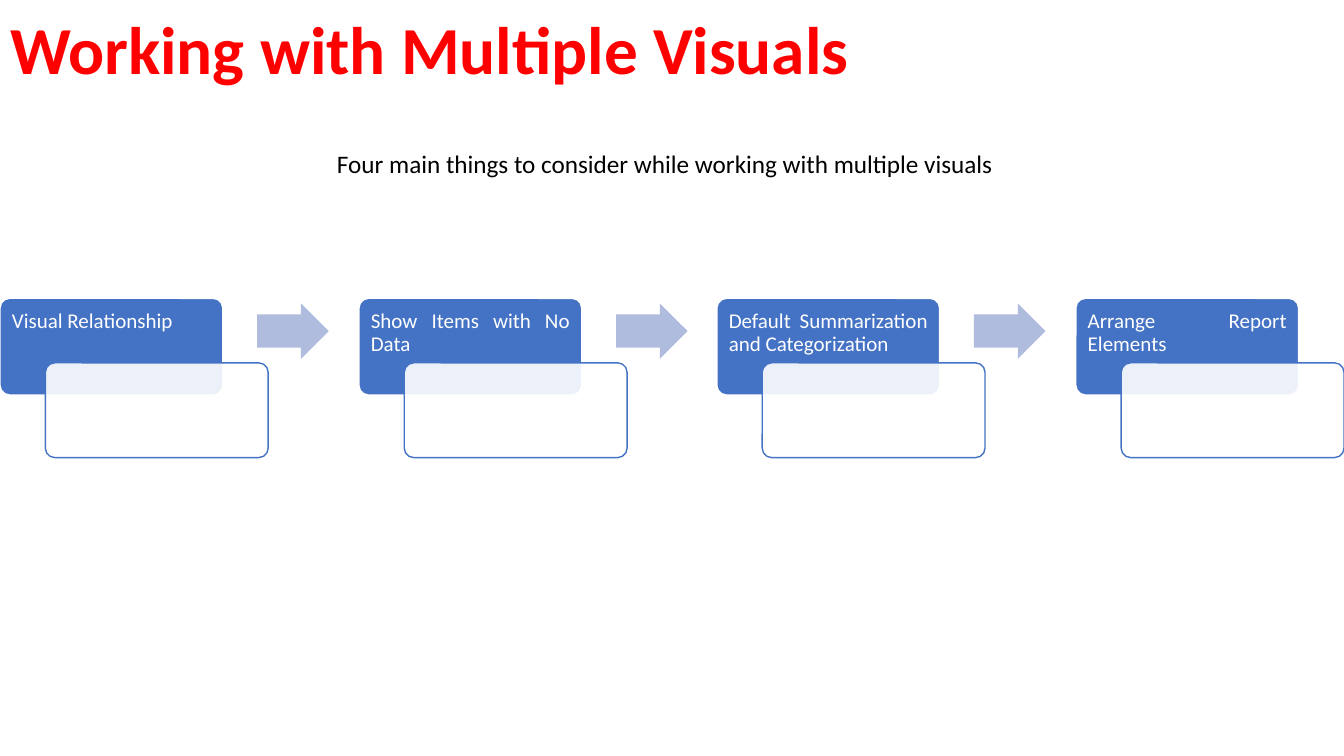
from lxml import etree
from pptx import Presentation
from pptx.dml.color import RGBColor
from pptx.enum.shapes import MSO_SHAPE
from pptx.enum.text import MSO_ANCHOR, MSO_AUTO_SIZE, PP_ALIGN
from pptx.oxml.ns import qn
from pptx.util import Emu, Pt

PX = 9144
SLIDE_W, SLIDE_H = 1333, 750
ROUNDED, ARROW = MSO_SHAPE.ROUNDED_RECTANGLE, MSO_SHAPE.RIGHT_ARROW
TOP, BOTTOM = MSO_ANCHOR.TOP, MSO_ANCHOR.BOTTOM
CENTER, JUSTIFY = PP_ALIGN.CENTER, PP_ALIGN.JUSTIFY
NO_AUTOFIT = MSO_AUTO_SIZE.NONE
TITLE_ONLY = 5


def px(length):
    return Emu(round(length * PX))


def rgb(hex_colour):
    return RGBColor.from_string(hex_colour)


class SlideBuilder:
    FONT = "Calibri"
    RED, BLACK, WHITE = "FF0000", "000000", "FFFFFF"
    BLUE, PALE_BLUE = "4472C4", "B0BCDE"

    def __init__(self, deck):
        self.slide = deck.slides.add_slide(deck.slide_layouts[TITLE_ONLY])

    def set_text(self, holder, text, size, colour, align, anchor, spacing=1.0, bold=False):
        frame = holder.text_frame
        frame.text = text
        frame.word_wrap = True
        frame.auto_size = NO_AUTOFIT
        frame.vertical_anchor = anchor
        paragraph = frame.paragraphs[0]
        paragraph.alignment = align
        paragraph.line_spacing = spacing
        font = paragraph.runs[0].font
        font.name, font.size, font.bold = self.FONT, Pt(size), bold
        font.color.rgb = rgb(colour)

    def title(self, text, left, top, width, height):
        heading = self.slide.shapes.title
        heading.left, heading.top = px(left), px(top)
        heading.width, heading.height = px(width), px(height)
        self.set_text(heading, text, 48, self.RED, JUSTIFY, BOTTOM, 0.9, True)

    def sentence(self, text, left, top, width, height):
        box = self.slide.shapes.add_textbox(px(left), px(top), px(width), px(height))
        self.set_text(box, text, 18, self.BLACK, CENTER, TOP)

    def shape(self, kind, left, top, width, height, adjustments, fill, line=None, opacity=100):
        shape = self.slide.shapes.add_shape(kind, px(left), px(top), px(width), px(height))
        shape.shadow.inherit = False
        for index, value in enumerate(adjustments):
            shape.adjustments[index] = value
        shape.fill.solid()
        shape.fill.fore_color.rgb = rgb(fill)
        if opacity < 100:
            colour = shape.element.spPr.find(qn("a:solidFill"))[0]
            etree.SubElement(colour, qn("a:alpha")).set("val", str(opacity * 1000))
        if line:
            shape.line.color.rgb = rgb(line)
            shape.line.width = Pt(1)
        else:
            shape.line.fill.background()
        return shape

    def step(self, label, left, top):
        card = self.shape(ROUNDED, left, top, 221, 96, [0.1], self.BLUE, self.WHITE)
        self.set_text(card, label, 15, self.WHITE, JUSTIFY, TOP, 0.9)
        frame = card.text_frame
        frame.margin_left = frame.margin_right = frame.margin_top = px(9)
        self.shape(ROUNDED, left + 45, top + 64, 221, 94, [0.1], self.WHITE, self.BLUE, 90)

    def arrow(self, left, top):
        self.shape(ARROW, left, top, 71, 55, [0.6, 0.5], self.PALE_BLUE)


def main():
    deck = Presentation()
    deck.slide_width, deck.slide_height = px(SLIDE_W), px(SLIDE_H)
    builder = SlideBuilder(deck)
    builder.title("Working with Multiple Visuals", 0, 0, SLIDE_W, 93)
    builder.sentence(
        "Four main things to consider while working with multiple visuals", 0, 142, 1319, 40
    )

    considerations = [
        "Visual Relationship",
        "Show Items with No Data",
        "Default Summarization and Categorization",
        "Arrange Report Elements",
    ]
    step_width, steps_top = 266, 296
    last = len(considerations) - 1
    for index, label in enumerate(considerations):
        left = round(index * (SLIDE_W - step_width) / last)
        builder.step(label, left, steps_top)
        if index < last:
            builder.arrow(left + 255, steps_top + 5)

    deck.save("out.pptx")


if __name__ == "__main__":
    main()
